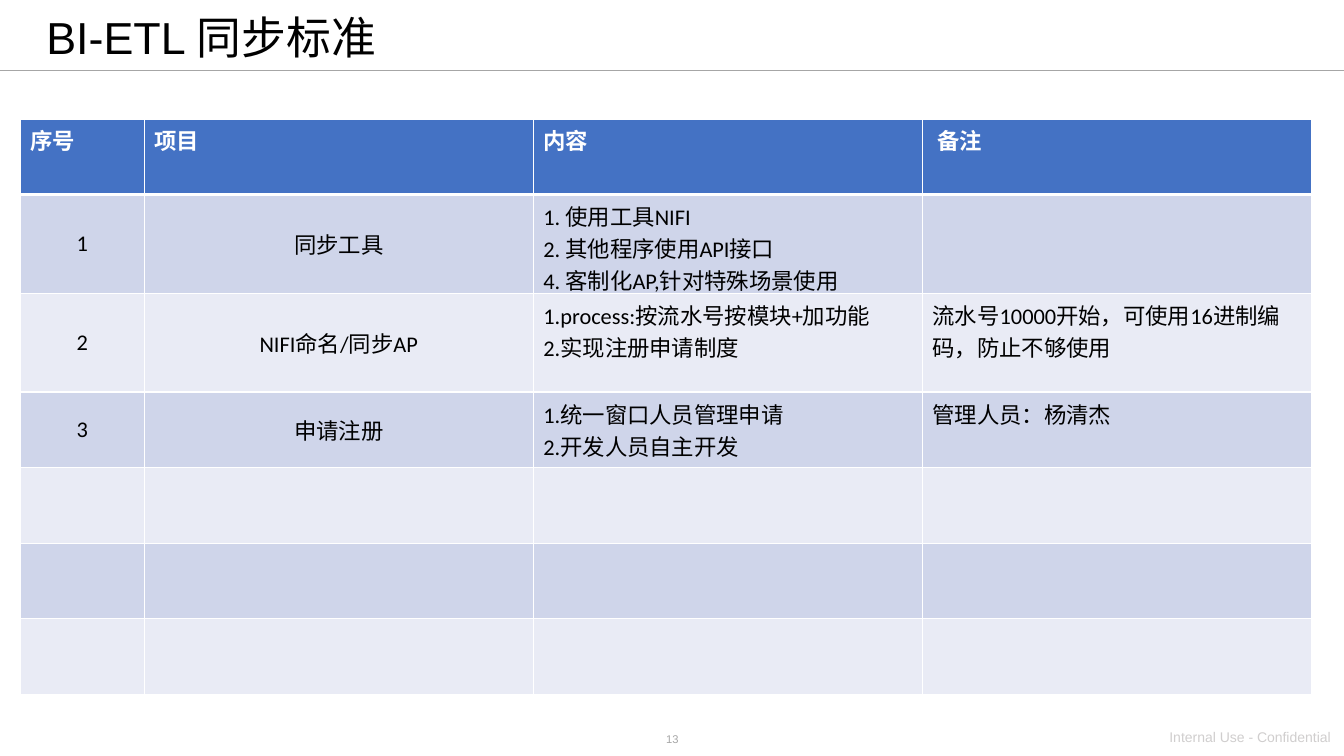
import pptx
import pptx.dml.color
import pptx.enum.shapes
import pptx.enum.text
import pptx.oxml
import pptx.oxml.ns
import pptx.util
from pptx.dml.color import RGBColor
from pptx.util import Inches

TITLE = "BI-ETL 同步标准"
PAGE_NUMBER = "13"
CLASSIFICATION = "Internal Use - Confidential"
HEADERS = ["序号", "项目", "内容", " 备注"]
STANDARDS = [
    ("1", "同步工具", "1. 使用工具NIFI\n2. 其他程序使用API接口\n4. 客制化AP,针对特殊场景使用", ""),
    ("2", "NIFI命名/同步AP", "1.process:按流水号按模块+加功能\n2.实现注册申请制度",
     "流水号10000开始，可使用16进制编码，防止不够使用"),
    ("3", "申请注册", "1.统一窗口人员管理申请\n2.开发人员自主开发", "管理人员：杨清杰"),
]
EMPTY_ROWS = 3
COLUMN_WIDTHS = [1.23, 3.86, 3.86, 3.86]
ROW_HEIGHTS = [0.75, 0.98, 0.98, 0.75, 0.75, 0.75, 0.75]
CENTERED_COLUMNS = 2

BLACK = RGBColor(0x00, 0x00, 0x00)
WHITE = RGBColor(0xFF, 0xFF, 0xFF)
GRAY = RGBColor(0xA6, 0xA6, 0xA6)
LIGHT_GRAY = RGBColor(0xD0, 0xCE, 0xCE)
HEADER_BLUE = RGBColor(0x44, 0x72, 0xC4)
BANDS = [RGBColor(0xCF, 0xD5, 0xEA), RGBColor(0xE9, 0xEB, 0xF5)]

LEFT = pptx.enum.text.PP_ALIGN.LEFT
CENTER = pptx.enum.text.PP_ALIGN.CENTER
TOP = pptx.enum.text.MSO_ANCHOR.TOP
MIDDLE = pptx.enum.text.MSO_ANCHOR.MIDDLE


def write_text(frame, text, size=16, font="Calibri", color=BLACK, bold=False,
               align=LEFT, line_spacing=None):
    """Write each line of text as a formatted paragraph."""
    for index, line in enumerate(text.split("\n")):
        paragraph = frame.paragraphs[0] if index == 0 else frame.add_paragraph()
        paragraph.alignment = align
        paragraph.line_spacing = line_spacing
        paragraph.font.size = pptx.util.Pt(size)
        paragraph.font.name = font
        paragraph.font.bold = bold
        paragraph.font.color.rgb = color
        if line:
            paragraph.add_run().text = line


def add_label(slide, text, left, top, width, height, **text_format):
    """Add a text box with one formatted label."""
    box = slide.shapes.add_textbox(Inches(left), Inches(top), Inches(width), Inches(height))
    box.text_frame.word_wrap = True
    write_text(box.text_frame, text, font="Arial", **text_format)


def set_borders(cell, bottom=1, top=1):
    """Draw white borders of the given point widths around a cell."""
    properties = cell._tc.get_or_add_tcPr()
    for side, points in (("L", 1), ("R", 1), ("T", top), ("B", bottom)):
        properties.append(pptx.oxml.parse_xml(
            f'<a:ln{side} {pptx.oxml.ns.nsdecls("a")} w="{pptx.util.Pt(points)}">'
            f'<a:solidFill><a:srgbClr val="{WHITE}"/></a:solidFill></a:ln{side}>'))


def add_standards_table(slide):
    """Add the table of synchronisation standards."""
    rows = [HEADERS, *STANDARDS, *[("",) * len(HEADERS)] * EMPTY_ROWS]
    table = slide.shapes.add_table(
        len(rows), len(HEADERS), Inches(0.2), Inches(1.18),
        Inches(sum(COLUMN_WIDTHS)), Inches(sum(ROW_HEIGHTS))).table
    for column, width in zip(table.columns, COLUMN_WIDTHS):
        column.width = Inches(width)
    for row_index, texts in enumerate(rows):
        table.rows[row_index].height = Inches(ROW_HEIGHTS[row_index])
        is_header = row_index == 0
        for column_index, text in enumerate(texts):
            cell = table.cell(row_index, column_index)
            centered = not is_header and column_index < CENTERED_COLUMNS
            set_borders(cell, bottom=3 if is_header else 1, top=3 if row_index == 1 else 1)
            cell.fill.solid()
            cell.fill.fore_color.rgb = HEADER_BLUE if is_header else BANDS[(row_index - 1) % 2]
            cell.vertical_anchor = MIDDLE if centered else TOP
            write_text(cell.text_frame, text, bold=is_header,
                       color=WHITE if is_header else BLACK,
                       align=CENTER if centered else LEFT)


def main():
    """Build the slide and save it."""
    presentation = pptx.Presentation()
    presentation.slide_width = Inches(13.33)
    presentation.slide_height = Inches(7.5)
    slide = presentation.slides.add_slide(presentation.slide_layouts[5])

    rule = slide.shapes.add_connector(
        pptx.enum.shapes.MSO_CONNECTOR.STRAIGHT,
        Inches(0), Inches(0.7), Inches(13.33), Inches(0.7))
    rule.line.color.rgb = GRAY
    rule.line.width = pptx.util.Pt(1)
    rule._element.spPr.append(
        pptx.oxml.parse_xml(f'<a:effectLst {pptx.oxml.ns.nsdecls("a")}/>'))

    add_label(slide, PAGE_NUMBER, 5.79, 7.22, 1.76, 0.24, size=8, color=GRAY, align=CENTER)
    add_label(slide, CLASSIFICATION, 11.5, 7.18, 1.84, 0.27, size=10, color=LIGHT_GRAY)

    title = slide.shapes.title
    title.left, title.top = Inches(0.36), Inches(0.06)
    title.width, title.height = Inches(10.53), Inches(0.68)
    title.text_frame.vertical_anchor = MIDDLE
    write_text(title.text_frame, TITLE, size=32, font="Arial", line_spacing=0.9)

    add_standards_table(slide)
    presentation.save("out.pptx")


if __name__ == "__main__":
    main()
